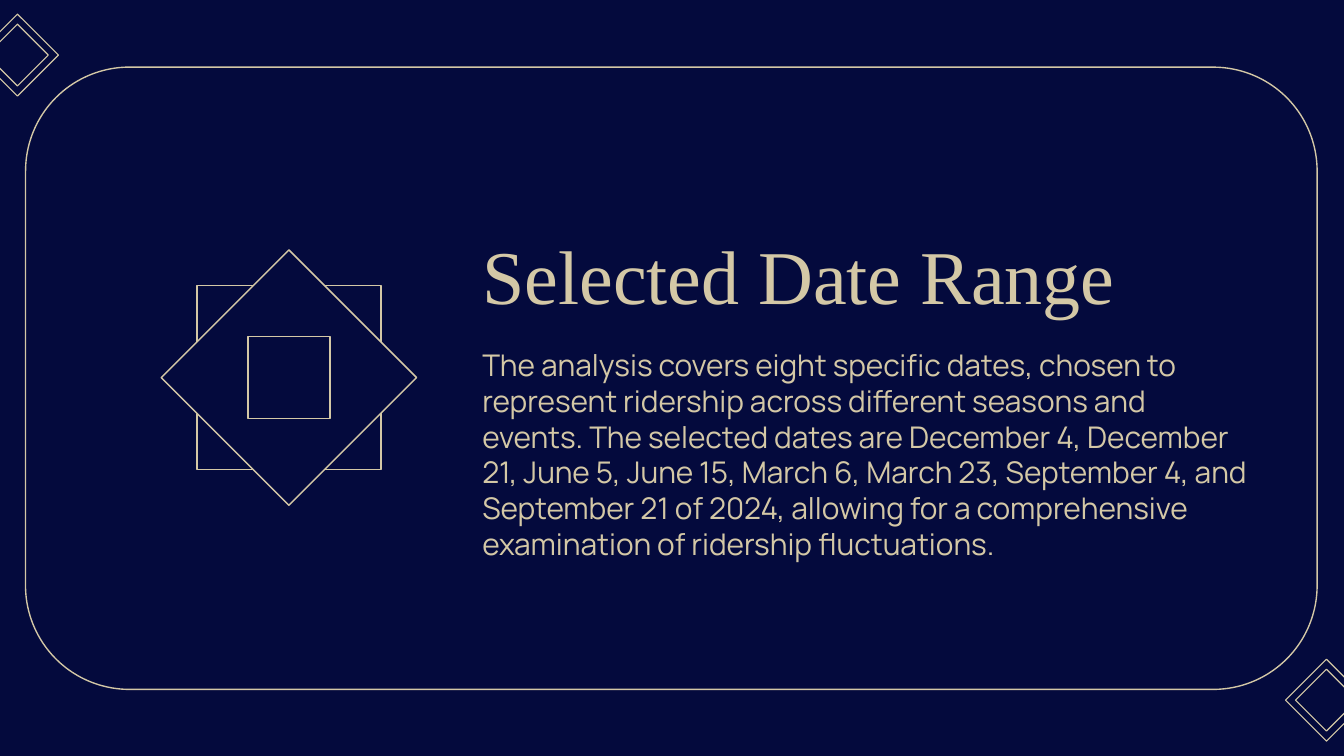
from pptx import Presentation
from pptx.dml.color import RGBColor
from pptx.enum import shapes, text
from pptx.util import Inches, Pt

NAVY, SAND = "040A3D", "D4C8A6"
DIAMOND = shapes.MSO_SHAPE.DIAMOND
SQUARE = shapes.MSO_SHAPE.RECTANGLE
ROUNDED = shapes.MSO_SHAPE.ROUNDED_RECTANGLE
BODY = (
    "The analysis covers eight specific dates, chosen to represent ridership "
    "across different seasons and events. The selected dates are December 4, "
    "December 21, June 5, June 15, March 6, March 23, September 4, and "
    "September 21 of 2024, allowing for a comprehensive examination of "
    "ridership fluctuations."
)


def color(value):
    return RGBColor.from_string(value)


def add_outline(s, kind, x, y, w, h, fill=None, weight=0.75):
    sp = s.shapes.add_shape(kind, Inches(x), Inches(y), Inches(w), Inches(h))
    sp.shadow.inherit = False
    if fill:
        sp.fill.solid()
        sp.fill.fore_color.rgb = color(fill)
    else:
        sp.fill.background()
    sp.line.color.rgb = color(SAND)
    sp.line.width = Pt(weight)
    return sp


def add_centered(s, kind, cx, cy, size, fill=None, weight=0.75):
    return add_outline(s, kind, cx - size / 2, cy - size / 2, size, size,
                       fill, weight)


def add_frame(s, x, y, w, h):
    sp = add_outline(s, ROUNDED, x, y, w, h)
    sp.adjustments[0] = 0.167


def add_corner_ornament(s, cx, cy):
    for size in (0.61, 0.46):
        add_centered(s, DIAMOND, cx, cy, size, weight=0.6)


def add_star(s, cx, cy):
    for kind, size in ((SQUARE, 1.37), (DIAMOND, 1.9), (SQUARE, 0.61)):
        add_centered(s, kind, cx, cy, size, NAVY, 0.8)


def fill_text(sp, box, content, font, size, anchor):
    sp.left, sp.top, sp.width, sp.height = map(Inches, box)
    tf = sp.text_frame
    tf.word_wrap = True
    tf.auto_size = text.MSO_AUTO_SIZE.NONE
    tf.vertical_anchor = anchor
    tf.margin_left = tf.margin_right = Inches(0.1)
    tf.margin_top = tf.margin_bottom = Inches(0.1)
    p = tf.paragraphs[0]
    p.alignment = text.PP_ALIGN.LEFT
    p.line_spacing = 1.0
    r = p.add_run()
    r.text = content
    r.font.name = font
    r.font.size = Pt(size)
    r.font.color.rgb = color(SAND)


def add_message(s, x, y, w):
    title_h, body_h = 0.87, 1.76
    fill_text(s.shapes.title, (x, y, w, title_h), "Selected Date Range",
              "Times New Roman", 40.7, text.MSO_ANCHOR.BOTTOM)
    body = s.shapes.add_textbox(0, 0, 0, 0)
    fill_text(body, (x, y + title_h, w, body_h), BODY,
              "Manrope", 16, text.MSO_ANCHOR.TOP)


def main():
    prs = Presentation()
    prs.slide_width = Inches(10)
    prs.slide_height = prs.slide_width * 9 // 16
    s = prs.slides.add_slide(prs.slide_layouts[5])
    s.background.fill.solid()
    s.background.fill.fore_color.rgb = color(NAVY)

    # Frame and corner ornaments
    add_frame(s, 0.19, 0.5, 9.61, 4.63)
    add_corner_ornament(s, 9.87, 5.21)
    add_corner_ornament(s, 0.13, 0.41)

    # Star emblem, then title and body
    add_star(s, 2.15, 2.81)
    add_message(s, 3.49, 1.61, 5.93)

    prs.save("out.pptx")


if __name__ == "__main__":
    main()
